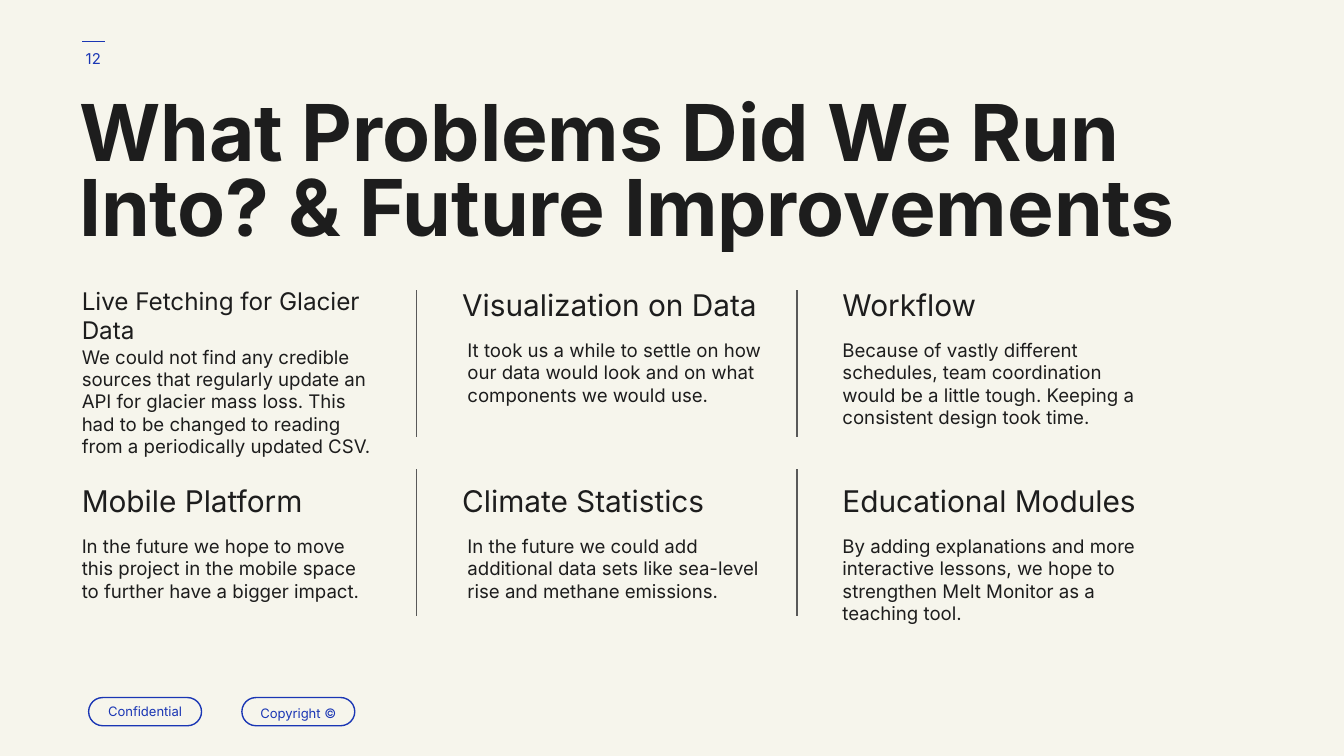
from lxml import etree
from pptx import Presentation, util as u
from pptx.dml.color import RGBColor
from pptx.enum import shapes, text
from pptx.oxml.ns import qn

# Content
TITLE = "What Problems Did We Run Into? & Future Improvements"
PAGE = "12"
TAGS = [("Confidential", 1), ("Copyright ©", 1.15)]  # label, line spacing
TOPICS = [
    [("Live Fetching for Glacier Data",
      "We could not find any credible sources that regularly update an API for "
      "glacier mass loss. This had to be changed to reading from a periodically "
      "updated CSV."),
     ("Visualization on Data",
      "It took us a while to settle on how our data would look and on what "
      "components we would use."),
     ("Workflow",
      "Because of vastly different schedules, team coordination would be a "
      "little tough. Keeping a consistent design took time.")],
    [("Mobile Platform",
      "In the future we hope to move this project in the mobile space to "
      "further have a bigger impact."),
     ("Climate Statistics",
      "In the future we could add additional data sets like sea-level rise and "
      "methane emissions."),
     ("Educational Modules",
      "By adding explanations and more interactive lessons, we hope to "
      "strengthen Melt Monitor as a teaching tool.")],
]

# Style
CREAM = RGBColor(0xF6, 0xF5, 0xEC)
BLUE = RGBColor(0x1A, 0x36, 0xB4)
INK = RGBColor(0x1D, 0x1D, 0x1D)
GRAY = RGBColor(0x59, 0x59, 0x59)
FONT = "Inter"
LEFT = text.PP_ALIGN.LEFT
MID = text.PP_ALIGN.CENTER

# Grid, in inches
COL_X, COL_W = 0.51, 2.83
ROW_Y, ROW_H = 2.03, 1.46
HEAD_W, HEAD_H = 2.48, 0.4
BODY_W, BODY_H = 2.39, 0.78
RULE_X, RULE_Y, RULE_H = 3.1, 2.16, 1.09
RULE_STEP = 1.33

deck = Presentation()
deck.slide_width, deck.slide_height = u.Inches(10), u.Inches(5.625)
slide = deck.slides.add_slide(deck.slide_layouts[6])
slide.background.fill.solid()
slide.background.fill.fore_color.rgb = CREAM


def write(shape, words, size, color=INK, bold=False, align=LEFT, space=None):
    frame = shape.text_frame
    frame.text = words
    frame.word_wrap = True
    frame.margin_left = frame.margin_right = u.Inches(0.1)
    frame.margin_top = frame.margin_bottom = u.Inches(0.1)
    anchor = text.MSO_ANCHOR
    frame.vertical_anchor = anchor.MIDDLE if align == MID else anchor.TOP
    para = frame.paragraphs[0]
    para.alignment = align
    if space:
        para.line_spacing = space
    font = para.runs[0].font
    font.name, font.size, font.bold = FONT, u.Pt(size), bold
    font.color.rgb = color


def add_text(x, y, w, h, words, size, **style):
    box = slide.shapes.add_textbox(*map(u.Inches, (x, y, w, h)))
    write(box, words, size, **style)


def add_rule(x1, y1, x2, y2, color):
    rule = slide.shapes.add_connector(
        shapes.MSO_CONNECTOR.STRAIGHT, *map(u.Inches, (x1, y1, x2, y2)))
    rule.line.color.rgb, rule.line.width = color, u.Pt(0.75)
    etree.SubElement(rule._element.spPr, qn("a:effectLst"))


# Page number
add_rule(0.78, 0.31, 0.61, 0.31, BLUE)
add_text(0.46, 0.22, 0.47, 0.43, PAGE, 8, color=BLUE, align=MID)

# Footer tags
for i, (label, space) in enumerate(TAGS):
    pill = slide.shapes.add_shape(
        shapes.MSO_SHAPE.ROUNDED_RECTANGLE,
        *map(u.Inches, (0.66 + 1.14 * i, 5.19, 0.84, 0.21)))
    pill.adjustments[0] = 0.5
    pill.shadow.inherit = False
    pill.fill.background()
    pill.line.color.rgb, pill.line.width = BLUE, u.Pt(0.75)
    write(pill, label, 7, color=BLUE, align=MID, space=space)

# Title
add_text(0.49, 0.65, 8.56, 1.38, TITLE, 42, bold=True, space=0.8)

# Topics
for r, row in enumerate(TOPICS):
    y = ROW_Y + ROW_H * r
    for c, (head, body) in enumerate(row):
        x = COL_X + COL_W * c
        long = len(head) > 25  # a two-line heading is smaller, its body lower
        add_text(x, y, HEAD_W, HEAD_H, head, 13 if long else 16)
        shift = 0.04 if c == 1 else 0
        add_text(x + shift, y + (0.44 if long else 0.39), BODY_W, BODY_H, body, 10)

    # Dividers between columns
    top = RULE_Y + RULE_STEP * r
    for c in range(len(row) - 1):
        x = RULE_X + COL_W * c
        add_rule(x, top, x, top + RULE_H, GRAY)

deck.save("out.pptx")
